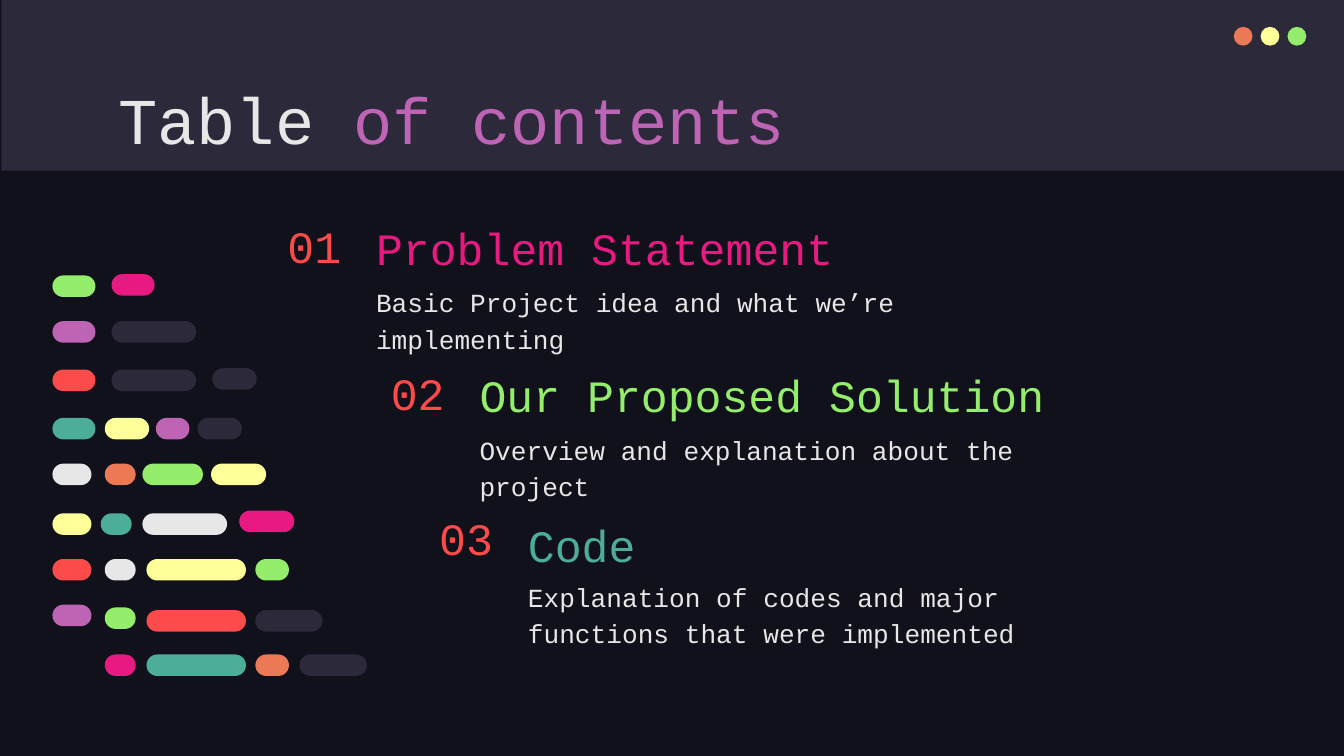
from pptx import Presentation
from pptx.dml.color import RGBColor
from pptx.enum.shapes import MSO_SHAPE as Preset
from pptx.enum.text import MSO_ANCHOR as Anchor, PP_ALIGN as Align
from pptx.util import Inches, Pt

NIGHT = RGBColor(0x10, 0x11, 0x1A)
SLATE = RGBColor(0x2C, 0x29, 0x3A)
WHITE = RGBColor(0xE7, 0xE7, 0xE7)
ORANGE = RGBColor(0xEC, 0x79, 0x55)
YELLOW = RGBColor(0xFF, 0xFF, 0x99)
GREEN = RGBColor(0x94, 0xEE, 0x6B)
PURPLE = RGBColor(0xBD, 0x64, 0xB5)
PINK = RGBColor(0xE8, 0x1A, 0x81)
RED = RGBColor(0xFD, 0x4A, 0x4A)
TEAL = RGBColor(0x4C, 0xAE, 0x97)
FONT = "Courier New"

CONTENTS = [
    ((2.04, 1.61, 5.26, 1.02), 0.43, "01", "Problem Statement", PINK,
     "Basic Project idea and what we’re implementing"),
    ((2.81, 2.71, 5.26, 1.02), 0.43, "02", "Our Proposed Solution", GREEN,
     "Overview and explanation about the project"),
    ((3.17, 3.82, 5.26, 1.0), 0.36, "03", "Code", TEAL,
     "Explanation of codes and major functions that were implemented"),
]

CODE_LINES = [
    [(0, 0.01, 0.32, GREEN), (0.44, 0, 0.32, PINK)],
    [(0, 0.35, 0.32, PURPLE), (0.44, 0.35, 0.63, SLATE)],
    [(0, 0.71, 0.32, RED), (0.44, 0.71, 0.63, SLATE), (1.19, 0.7, 0.33, SLATE)],
    [(0, 1.07, 0.32, TEAL), (0.39, 1.07, 0.33, YELLOW),
     (0.77, 1.07, 0.25, PURPLE), (1.08, 1.07, 0.33, SLATE)],
    [(0, 1.41, 0.29, WHITE), (0.39, 1.41, 0.23, ORANGE),
     (0.67, 1.41, 0.45, GREEN), (1.18, 1.41, 0.41, YELLOW)],
    [(0, 1.78, 0.29, YELLOW), (0.36, 1.78, 0.23, TEAL),
     (0.67, 1.78, 0.63, WHITE), (1.39, 1.76, 0.41, PINK)],
    [(0, 2.12, 0.29, RED), (0.39, 2.12, 0.23, WHITE),
     (0.7, 2.12, 0.74, YELLOW), (1.51, 2.12, 0.25, GREEN)],
    [(0, 2.46, 0.29, PURPLE), (0.39, 2.48, 0.23, GREEN),
     (0.7, 2.5, 0.74, RED), (1.51, 2.5, 0.5, SLATE)],
    [(0.39, 2.83, 0.23, PINK), (0.7, 2.83, 0.74, TEAL),
     (1.51, 2.83, 0.25, ORANGE), (1.84, 2.83, 0.5, SLATE)],
]


def add_block(shapes, preset, box, color):
    block = shapes.add_shape(preset, *map(Inches, box))
    block.fill.solid()
    block.fill.fore_color.rgb = color
    block.line.fill.background()
    block.shadow.inherit = False
    return block


def format_frame(frame, anchor):
    frame.word_wrap = True
    frame.vertical_anchor = anchor
    frame.margin_left = frame.margin_right = Inches(0.1)
    frame.margin_top = frame.margin_bottom = Inches(0.1)


def format_run(run, size, color):
    run.font.name = FONT
    run.font.size = Pt(size)
    run.font.color.rgb = color


def add_label(slide, box, text, size, color, anchor, spacing=1.0):
    label = slide.shapes.add_textbox(*map(Inches, box))
    format_frame(label.text_frame, anchor)
    label.text_frame.text = text
    paragraph = label.text_frame.paragraphs[0]
    paragraph.line_spacing = spacing
    format_run(paragraph.runs[0], size, color)


def add_header(slide, box):
    left, top, width, height = box
    add_block(slide.shapes, Preset.RECTANGLE, box, SLATE)
    window_dots = slide.shapes.add_group_shape()
    for index, color in enumerate((ORANGE, YELLOW, GREEN)):
        dot_left = left + 9.17 + index * 0.2
        add_block(window_dots.shapes, Preset.OVAL, (dot_left, top + 0.2, 0.14, 0.14), color)

    title = slide.shapes.title
    title.left, title.top = Inches(left + 0.77), Inches(top + 0.49)
    title.width, title.height = Inches(8.43), Inches(0.63)
    format_frame(title.text_frame, Anchor.TOP)
    heading = title.text_frame.paragraphs[0]
    heading.alignment = Align.LEFT
    for words, color in (("Table ", WHITE), ("of contents", PURPLE)):
        run = heading.add_run()
        run.text = words
        format_run(run, 35, color)
    slide.shapes._spTree.append(title._element)


def add_entry(slide, box, number_height, number, heading, color, description):
    left, top, width, height = box
    number_width, description_height = 0.66, 0.63
    text_left, text_width = left + number_width, width - number_width
    add_label(slide, (left, top, number_width, number_height),
              number, 24, RED, Anchor.MIDDLE)
    add_label(slide, (text_left, top, text_width, 0.53),
              heading, 24, color, Anchor.BOTTOM, 1.15)
    add_label(slide, (text_left, top + height - description_height,
                      text_width, description_height),
              description, 14, WHITE, Anchor.TOP, 1.15)


def add_code_lines(slide, left, top):
    code = slide.shapes.add_group_shape()
    for line in CODE_LINES:
        for x, y, width, color in line:
            token = add_block(code.shapes, Preset.ROUNDED_RECTANGLE,
                              (left + x, top + y, width, 0.16), color)
            token.adjustments[0] = 0.5


def main():
    deck = Presentation()
    deck.slide_width = Inches(10)
    deck.slide_height = deck.slide_width * 9 // 16
    slide = deck.slides.add_slide(deck.slide_layouts[5])
    slide.background.fill.solid()
    slide.background.fill.fore_color.rgb = NIGHT
    add_header(slide, (0.01, 0, 10, 1.27))
    for entry in CONTENTS:
        add_entry(slide, *entry)
    add_code_lines(slide, 0.39, 2.04)
    deck.save("out.pptx")


if __name__ == "__main__":
    main()
